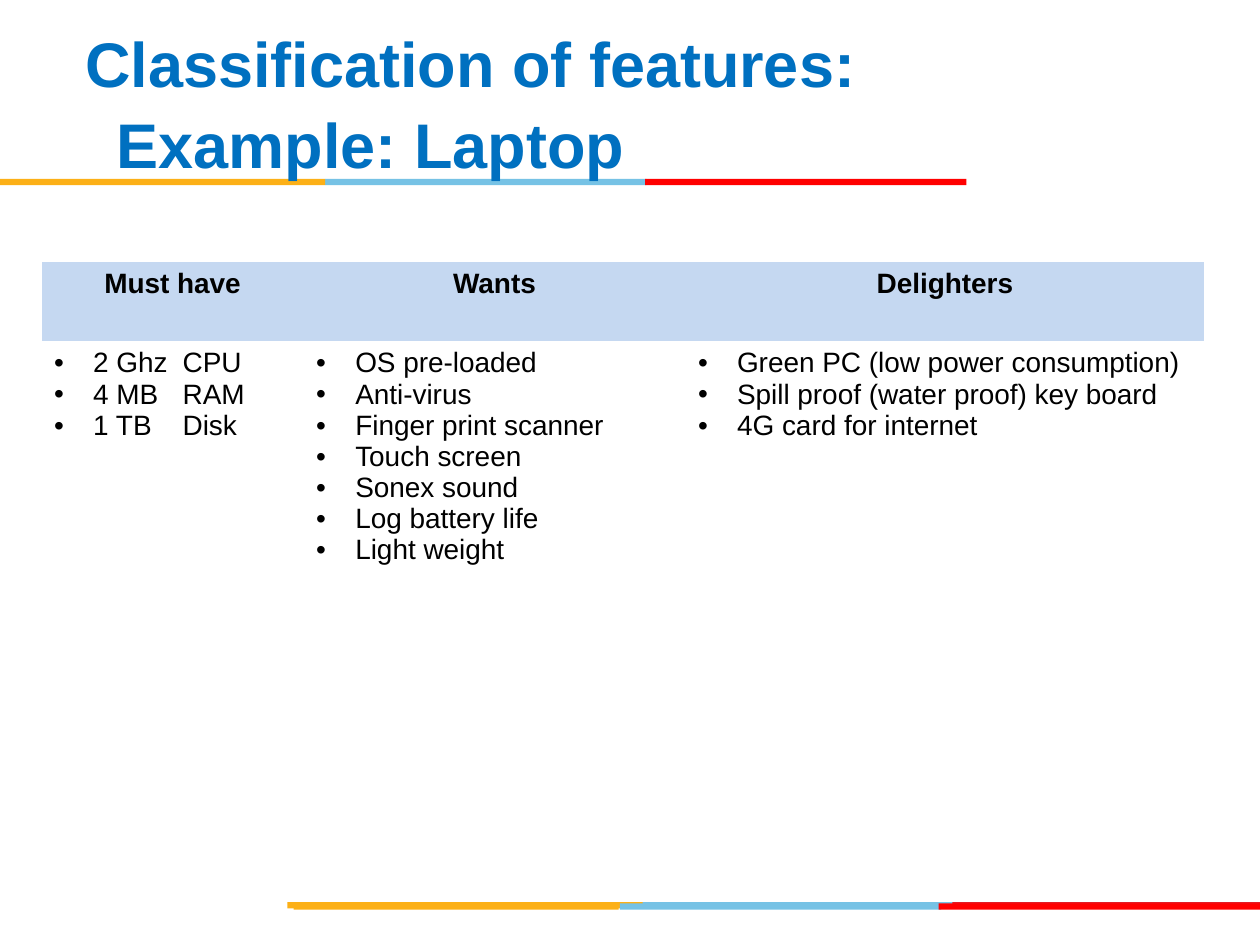
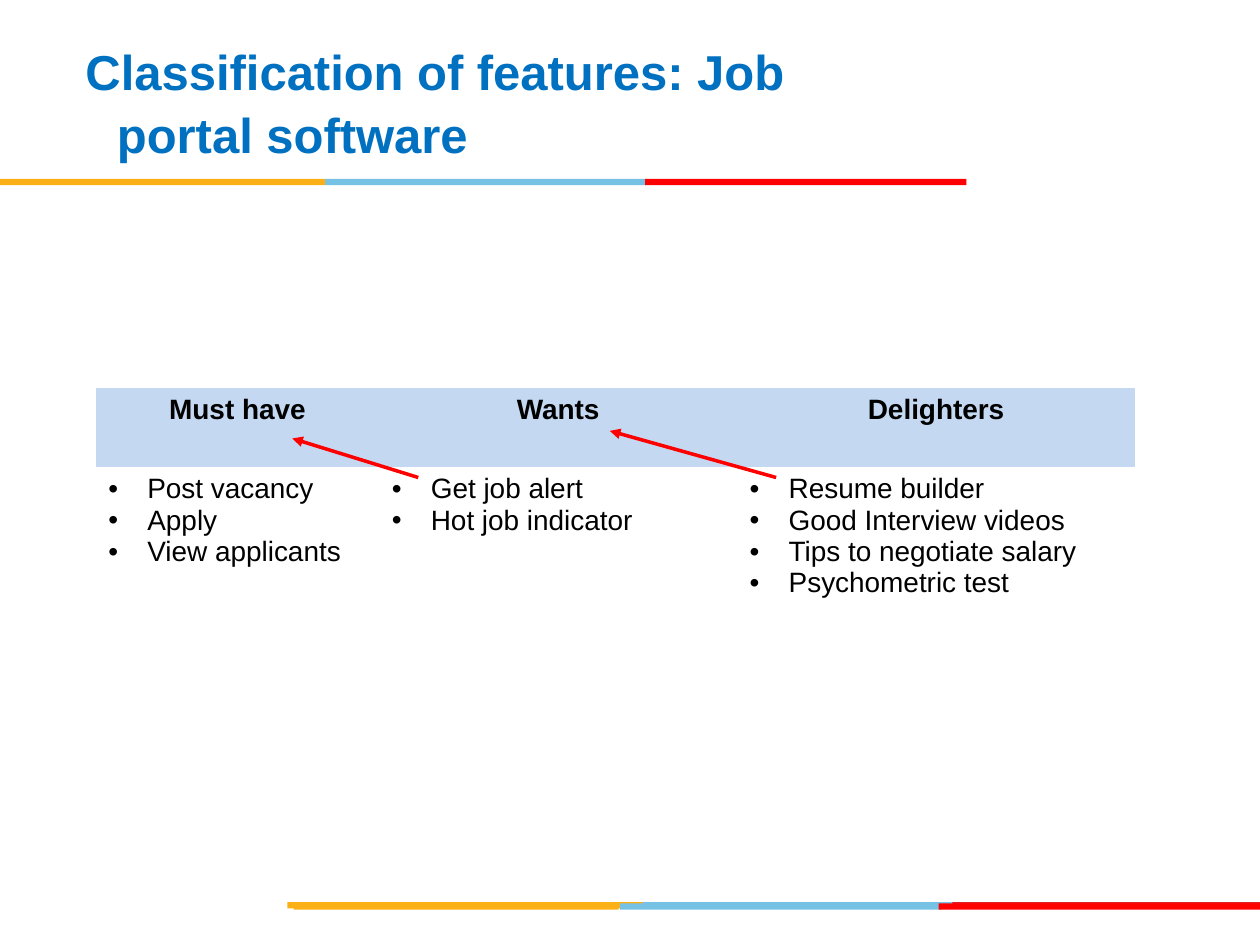
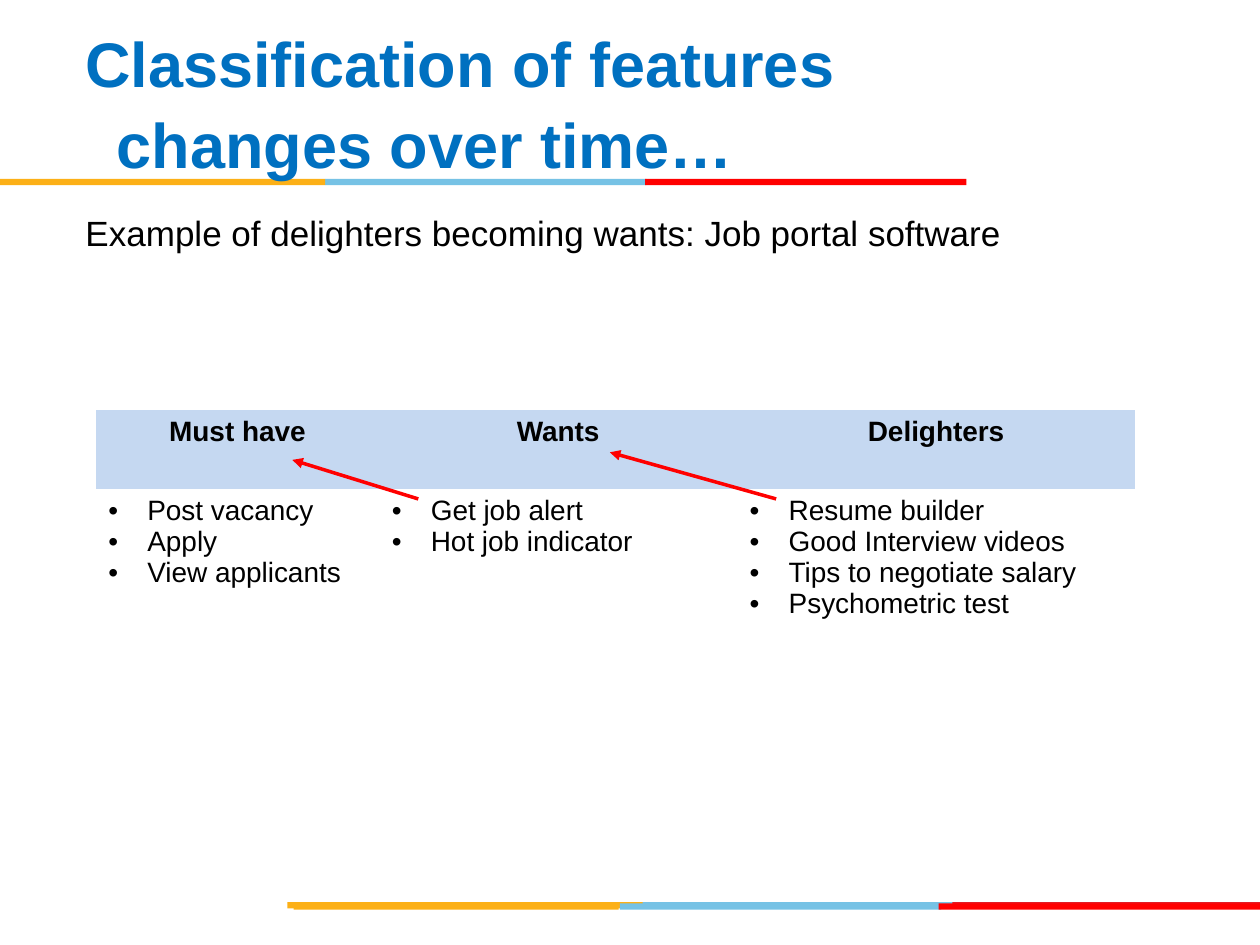
from lxml.etree import SubElement
from pptx import Presentation
from pptx.dml.color import RGBColor
from pptx.enum.shapes import MSO_CONNECTOR as CONN, MSO_SHAPE as SHAPE
from pptx.enum.text import MSO_ANCHOR as ANCHOR, PP_ALIGN as ALIGN
from pptx.oxml.ns import qn
from pptx.util import Inches, Pt

AMBER = RGBColor(0xFC, 0xB0, 0x17)
SKY = RGBColor(0x76, 0xC2, 0xE5)
CRIMSON = RGBColor(0xE3, 0x1C, 0x24)
RED = RGBColor(0xFF, 0x00, 0x00)
TITLE_BLUE = RGBColor(0x00, 0x70, 0xC0)
HEADER_BLUE = RGBColor(0xC5, 0xD8, 0xF1)
BLACK = RGBColor(0x00, 0x00, 0x00)

FONT = "Arial"
PLAIN_STYLE = "{2D5ABB26-0587-4C30-8999-92F81FD0307C}"
COLS, ROWS = 100, 75
CELL = Inches(0.1)

TITLE_BOX = (3.3, 1.7, 69.2, 12.5)
SUBTITLE_BOX = (3.3, 16.3, 90, 8.2)
BAND_HEIGHT = 0.5
BANDS = [
    (71.6, [(50.6, 25.5, SKY), (75.6, 24.4, CRIMSON), (22.8, 28.2, AMBER)]),
    (71.7, [(49.2, 25.5, SKY), (23.3, 25.8, AMBER), (74.5, 25.5, RED)]),
    (14.2, [(25.8, 25.5, SKY), (0, 25.8, AMBER), (51.2, 25.5, RED)]),
]

HEADERS = ["Must have", "Wants", "Delighters"]
HEADER_ROW, BODY_ROW = 6.3, 4.1
BULLET_INDENT = 3.1
SPEC_TAB = 10.2
LAPTOP_COLS = [20.8, 30.3, 41.2]
LAPTOP = [
    ["2 Ghz\tCPU", "4 MB\tRAM", "1 TB\tDisk"],
    ["OS pre-loaded", "Anti-virus", "Finger print scanner", "Touch screen",
     "Sonex sound", "Log battery life", "Light weight"],
    ["Green PC (low power consumption)", "Spill proof (water proof) key board",
     "4G card for internet"],
]
PORTAL_COLS = [22.5, 28.4, 31.6]
PORTAL = [
    ["Post vacancy", "Apply", "View applicants"],
    ["Get job alert", "Hot job indicator"],
    ["Resume builder", "Good Interview videos", "Tips to negotiate salary",
     "Psychometric test"],
]
ARROW_START = 7.1
ARROW_TIPS = [(15.6, 4), (40.8, 3.4)]


def grid(*values):
    """Turn grid columns or rows into slide lengths."""
    return [round(v * CELL) for v in values]


def write(tf, lines, size, color=BLACK, bold=False, align=None, indent=None,
          bullet=False, before=None, spacing=None):
    """Write each line as a formatted paragraph."""
    for i, line in enumerate(lines):
        p = tf.add_paragraph() if i else tf.paragraphs[0]
        p.alignment, p.space_before, p.line_spacing = align, before, spacing
        pPr = p._p.get_or_add_pPr()
        if indent:
            left, first = grid(*indent)
            pPr.set("marL", str(left))
            pPr.set("indent", str(first))
        if bullet:
            SubElement(pPr, qn("a:buFont"), typeface=FONT)
            SubElement(pPr, qn("a:buChar"), char="•")
        if "\t" in line:
            tabs = SubElement(pPr, qn("a:tabLst"))
            SubElement(tabs, qn("a:tab"), pos=str(grid(SPEC_TAB)[0]), algn="l")
        r = p.add_run()
        r.text = line
        r.font.name, r.font.size, r.font.bold = FONT, Pt(size), bold
        r.font.color.rgb = color


def add_text(s, box, text, size, anchor=ANCHOR.TOP, **fmt):
    """Place a wrapped text box with a hanging indent."""
    tf = s.shapes.add_textbox(*grid(*box)).text_frame
    tf.word_wrap = True
    tf.vertical_anchor = anchor
    write(tf, [text], size, indent=(5, -2.5), **fmt)


def add_bands(s):
    """Draw the coloured bands under the title and at the foot."""
    for top, parts in BANDS:
        for left, width, color in parts:
            sp = s.shapes.add_shape(
                SHAPE.RECTANGLE, *grid(left, top, width, BAND_HEIGHT))
            sp.shadow.inherit = False
            sp.fill.solid()
            sp.fill.fore_color.rgb = color
            sp.line.fill.background()


def add_features(s, left, top, widths, columns):
    """Build the table of features by class."""
    frame = s.shapes.add_table(
        2, len(widths), *grid(left, top, sum(widths), HEADER_ROW + BODY_ROW))
    table = frame.table
    table.first_row = table.horz_banding = False
    table._tbl.tblPr.find(qn("a:tableStyleId")).text = PLAIN_STYLE
    for row, height in zip(table.rows, grid(HEADER_ROW, BODY_ROW)):
        row.height = height
    for i, (width, header, items) in enumerate(
            zip(grid(*widths), HEADERS, columns)):
        table.columns[i].width = width
        head, body = table.cell(0, i), table.cell(1, i)
        head.fill.solid()
        head.fill.fore_color.rgb = HEADER_BLUE
        body.fill.background()
        write(head.text_frame, [header], 16, bold=True, align=ALIGN.CENTER)
        write(body.text_frame, items, 16, bullet=True,
              indent=(BULLET_INDENT, -BULLET_INDENT))


def add_arrow(s, x1, y1, x2, y2):
    """Draw a red arrow between two points."""
    line = s.shapes.add_connector(CONN.STRAIGHT, *grid(x1, y1, x2, y2))
    line.line.color.rgb = RED
    line.line.width = Pt(2)
    SubElement(line.line._get_or_add_ln(), qn("a:tailEnd"), type="triangle")
    SubElement(line._element.spPr, qn("a:effectLst"))


def add_portal(s, left, top):
    """Place the job portal table and the arrows between its classes."""
    add_features(s, left, top, PORTAL_COLS, PORTAL)
    for i, (x, y) in enumerate(ARROW_TIPS, 1):
        start = sum(PORTAL_COLS[:i]) + BULLET_INDENT
        add_arrow(s, left + start, top + ARROW_START, left + x, top + y)


def add_slide(prs, title, size):
    """Add a slide with the shared bands and title."""
    s = prs.slides.add_slide(prs.slide_layouts[6])
    add_bands(s)
    add_text(s, TITLE_BOX, title, size, anchor=ANCHOR.MIDDLE,
             color=TITLE_BLUE, bold=True, spacing=1.07)
    return s


def main():
    """Build the three slides and save them."""
    prs = Presentation()
    prs.slide_width, prs.slide_height = grid(COLS, ROWS)

    s = add_slide(prs, "Classification of features: Example: Laptop", 36)
    add_features(s, 3.3, 20.8, LAPTOP_COLS, LAPTOP)

    s = add_slide(prs, "Classification of features: Job portal software", 28)
    add_portal(s, 7.6, 30.8)

    s = add_slide(prs, "Classification of features changes over time…", 36)
    add_text(s, SUBTITLE_BOX,
             "Example of delighters becoming wants: Job portal software", 20,
             before=Pt(4))
    add_portal(s, 7.6, 32.5)

    prs.save("out.pptx")


if __name__ == "__main__":
    main()
